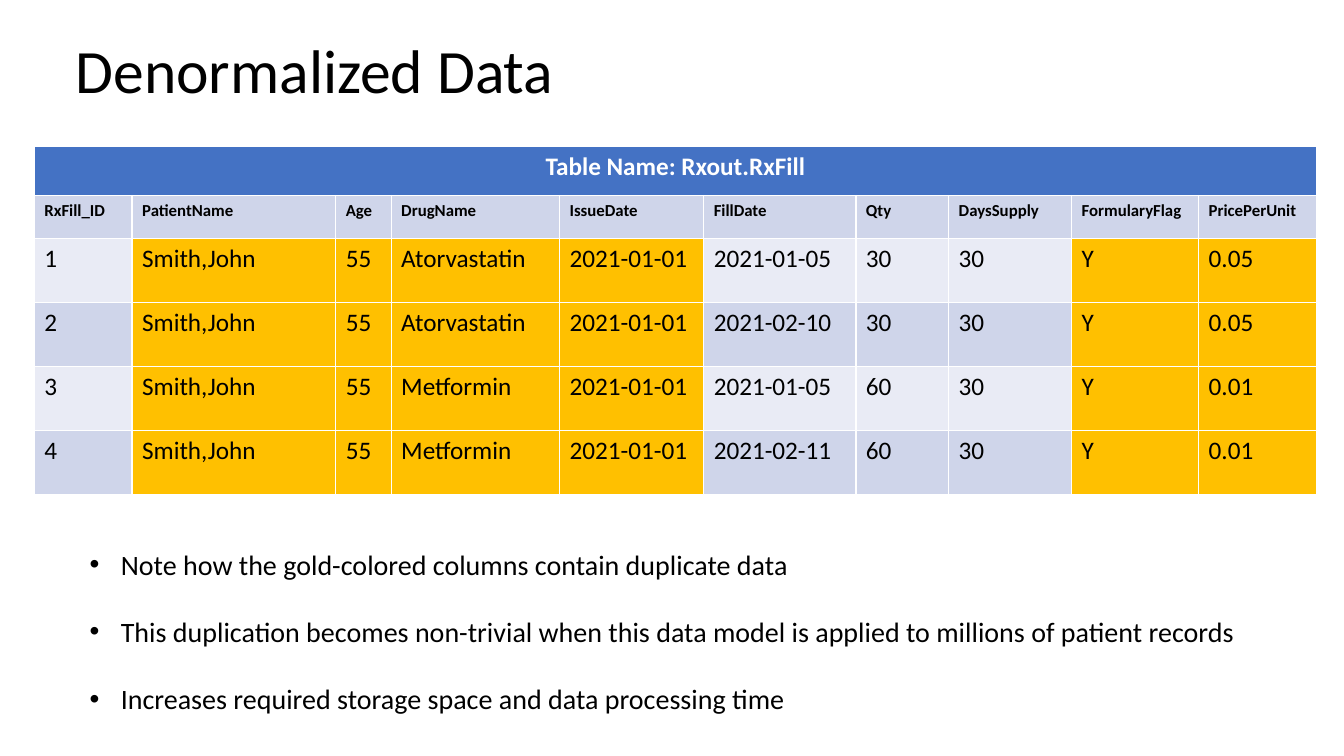
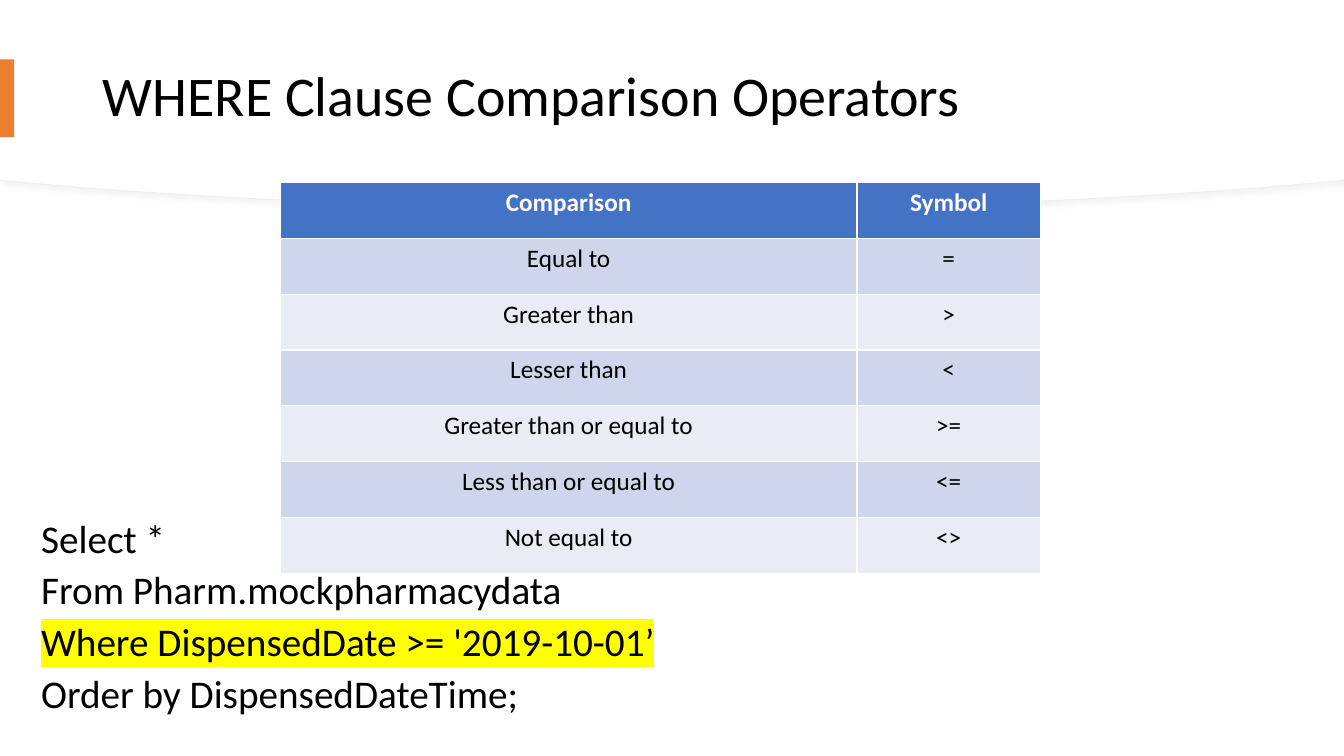
from dataclasses import dataclass

from lxml.etree import SubElement
from pptx import Presentation
from pptx.dml.color import RGBColor as RGB
from pptx.enum.shapes import MSO_SHAPE as Preset
from pptx.enum.text import MSO_ANCHOR as Anchor, MSO_AUTO_SIZE as AutoSize, PP_ALIGN as Align
from pptx.oxml.ns import qn
from pptx.util import Inches, Pt


@dataclass(frozen=True)
class Theme:
    font: str = "Calibri"
    ink: str = "000000"
    paper: str = "FFFFFF"
    header: str = "4472C4"
    band_dark: str = "CFD5EA"
    band_light: str = "E9EBF5"
    duplicate: str = "FFC000"
    marker: str = "ED7D31"
    highlight: str = "FFFF00"
    panel_edge: str = "EFEFEF"
    panel_shadow: str = "D9D9D9"
    title: int = 44
    title_small: int = 40
    query: int = 28
    note: int = 20
    cell: int = 18
    column_name: int = 12


THEME = Theme()

FILL_COLUMNS = [
    ("RxFill_ID", 0.97), ("PatientName", 2.02), ("Age", 0.55), ("DrugName", 1.67),
    ("IssueDate", 1.43), ("FillDate", 1.51), ("Qty", 0.92), ("DaysSupply", 1.22),
    ("FormularyFlag", 1.26), ("PricePerUnit", 1.17),
]
DUPLICATE_COLUMNS = {1, 2, 3, 4, 8, 9}
FILLS = [
    ("Atorvastatin", "2021-01-05", "30", "0.05"),
    ("Atorvastatin", "2021-02-10", "30", "0.05"),
    ("Metformin", "2021-01-05", "60", "0.01"),
    ("Metformin", "2021-02-11", "60", "0.01"),
]
NOTES = [
    "Note how the gold-colored columns contain duplicate data",
    "This duplication becomes non-trivial when this data model is applied to millions of patient records",
    "Increases required storage space and data processing time",
]
OPERATORS = [
    ("Comparison", "Symbol"),
    ("Equal to", "="),
    ("Greater than", ">"),
    ("Lesser than", "<"),
    ("Greater than or equal to", ">="),
    ("Less than or equal to", "<="),
    ("Not equal to", "<>"),
]
QUERY = [
    "Select *",
    "From Pharm.mockpharmacydata",
    "Where DispensedDate >= '2019-10-01’",
    "Order by DispensedDateTime;",
]


def apply(target, formats):
    for name, value in formats.items():
        setattr(target, name, value)


def place(shape, left, top, width, height):
    apply(shape, {"left": Inches(left), "top": Inches(top),
                  "width": Inches(width), "height": Inches(height)})


def paint(target, color):
    target.fill.solid()
    target.fill.fore_color.rgb = RGB.from_string(color)


def write(paragraph, text, size, color=THEME.ink, bold=False, **layout):
    run = paragraph.add_run()
    run.text = text
    apply(run.font, {"name": THEME.font, "size": Pt(size), "bold": bold})
    run.font.color.rgb = RGB.from_string(color)
    apply(paragraph, layout)
    return run


def set_title(slide, text, size, *box):
    title = slide.shapes.title
    place(title, *box)
    apply(title.text_frame, {"vertical_anchor": Anchor.MIDDLE, "word_wrap": True,
                             "auto_size": AutoSize.NONE})
    write(title.text_frame.paragraphs[0], text, size,
          alignment=Align.LEFT, line_spacing=0.9)
    title.element.getparent().append(title.element)


def add_lines(slide, lines, size, box, **layout):
    frame = slide.shapes.add_textbox(*map(Inches, box)).text_frame
    frame.word_wrap = True
    runs = []
    for index, line in enumerate(lines):
        paragraph = frame.add_paragraph() if index else frame.paragraphs[0]
        runs.append(write(paragraph, line, size, **layout))
    return frame, runs


def add_bullet(paragraph):
    properties = paragraph._p.get_or_add_pPr()
    properties.set("marL", str(Inches(0.31)))
    properties.set("indent", str(-Inches(0.31)))
    SubElement(properties, qn("a:buFont"), typeface="Arial")
    SubElement(properties, qn("a:buChar"), char="•")


def highlight(run):
    fill = run._r.get_or_add_rPr().find(qn("a:solidFill"))
    mark = SubElement(fill.getparent(), qn("a:highlight"))
    SubElement(mark, qn("a:srgbClr"), val=THEME.highlight)
    fill.addnext(mark)


def add_grid(slide, left, top, widths, heights):
    grid = slide.shapes.add_table(
        len(heights), len(widths), Inches(left), Inches(top),
        Inches(sum(widths)), Inches(sum(heights))).table
    for column, width in zip(grid.columns, widths):
        column.width = Inches(width)
    for row, height in zip(grid.rows, heights):
        row.height = Inches(height)
    return grid


def fill_cell(cell, text, color, size=THEME.cell, ink=THEME.ink, bold=False, align=Align.LEFT):
    paint(cell, color)
    write(cell.text_frame.paragraphs[0], text, size, ink, bold, alignment=align)


def fill_header(cell, text):
    fill_cell(cell, text, THEME.header, ink=THEME.paper, bold=True, align=Align.CENTER)


def band(row):
    return THEME.band_dark if row % 2 else THEME.band_light


def bezier(start, first, second, end, steps=24):
    for step in range(1, steps + 1):
        t = step / steps
        weights = ((1 - t) ** 3, 3 * t * (1 - t) ** 2, 3 * t * t * (1 - t), t ** 3)
        yield tuple(sum(w * point[axis] for w, point in zip(weights, (start, first, second, end)))
                    for axis in (0, 1))


def add_curved_panel(slide, depth):
    shoulder = depth - 0.21
    right, bottom, left = (12.42, shoulder), (6.67, depth), (0.91, shoulder)
    points = [
        (13.33, 0), (13.33, depth - 0.29), right,
        *bezier(right, (10.65, depth - 0.08), (8.71, depth), bottom),
        *bezier(bottom, (4.63, depth), (2.68, depth - 0.08), left),
        (0, depth - 0.29),
    ]
    outline = slide.shapes.build_freeform(0, 0)
    outline.add_line_segments([(Inches(x), Inches(y)) for x, y in points], close=True)
    panel = outline.convert_to_shape()
    panel.shadow.inherit = False
    paint(panel, THEME.paper)
    panel.line.fill.background()
    return panel


def add_edge(panel):
    panel.line.color.rgb = RGB.from_string(THEME.panel_edge)
    panel.line.width = Pt(0.75)
    effects = panel.element.spPr.find(qn("a:effectLst"))
    shadow = SubElement(effects, qn("a:outerShdw"), blurRad=str(Pt(4)), dist=str(Pt(3)),
                        dir=str(45 * 60000), algn="tl", rotWithShape="0")
    color = SubElement(shadow, qn("a:srgbClr"), val=THEME.panel_shadow)
    SubElement(color, qn("a:alpha"), val="30000")


def add_marker(slide, *box):
    marker = slide.shapes.add_shape(Preset.RECTANGLE, *map(Inches, box))
    marker.shadow.inherit = False
    paint(marker, THEME.marker)
    marker.line.fill.background()


def build_denormalized(slide):
    set_title(slide, "Denormalized Data", THEME.title, 0.65, 0, 11.5, 1.45)
    names, widths = zip(*FILL_COLUMNS)
    grid = add_grid(slide, 0.34, 1.45, widths, [0.49, 0.43] + [0.635] * len(FILLS))
    grid.cell(0, 0).merge(grid.cell(0, len(names) - 1))
    fill_header(grid.cell(0, 0), "Table Name: Rxout.RxFill")
    for column, name in enumerate(names):
        fill_cell(grid.cell(1, column), name, band(1), THEME.column_name, bold=True)
    for number, (drug, filled, quantity, price) in enumerate(FILLS, 1):
        record = (str(number), "Smith,John", "55", drug, "2021-01-01",
                  filled, quantity, "30", "Y", price)
        row = number + 1
        for column, value in enumerate(record):
            color = THEME.duplicate if column in DUPLICATE_COLUMNS else band(row)
            fill_cell(grid.cell(row, column), value, color)
    frame, _ = add_lines(slide, NOTES, THEME.note, (0.79, 5.38, 11.81, 1.78))
    for index, paragraph in enumerate(frame.paragraphs):
        add_bullet(paragraph)
        if index:
            paragraph.space_before = Pt(24)


def build_operators(slide):
    add_edge(add_curved_panel(slide, 2.08))
    add_curved_panel(slide, 2.07)
    set_title(slide, "WHERE Clause Comparison Operators", THEME.title_small,
              0.92, 0.28, 11.5, 1.39)
    add_marker(slide, 0, 0.59, 0.14, 0.77)
    _, runs = add_lines(slide, QUERY, THEME.query, (0.31, 5.14, 11.5, 2.08),
                        line_spacing=0.8, space_before=Pt(10))
    highlight(runs[2])
    count = len(OPERATORS)
    grid = add_grid(slide, 2.78, 1.81, [5.72, 1.82], [3.88 / count] * count)
    for row, operator in enumerate(OPERATORS):
        for column, text in enumerate(operator):
            cell = grid.cell(row, column)
            if row:
                fill_cell(cell, text, band(row), align=Align.CENTER)
            else:
                fill_header(cell, text)


def main():
    deck = Presentation()
    apply(deck, {"slide_width": Inches(13.33), "slide_height": Inches(7.5)})
    title_only = deck.slide_layouts[5]
    for build in (build_denormalized, build_operators):
        build(deck.slides.add_slide(title_only))
    deck.save("out.pptx")


if __name__ == "__main__":
    main()
